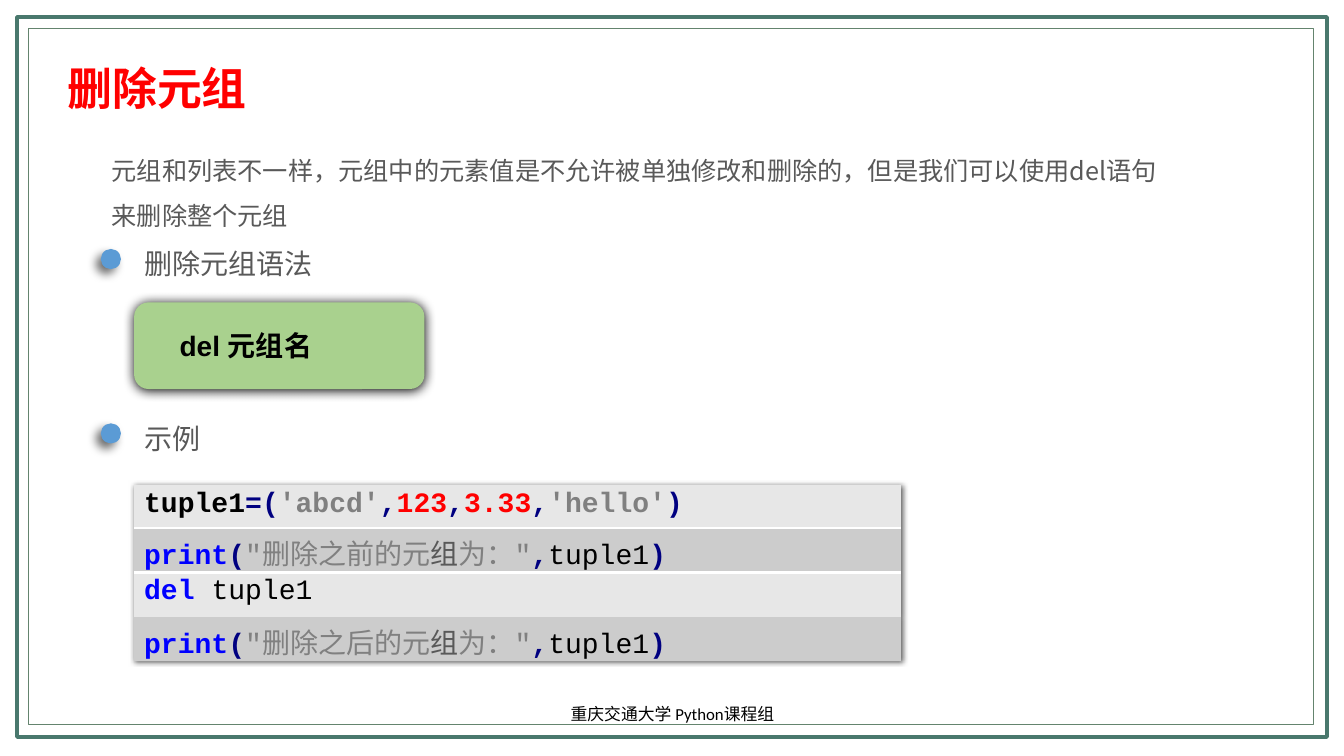
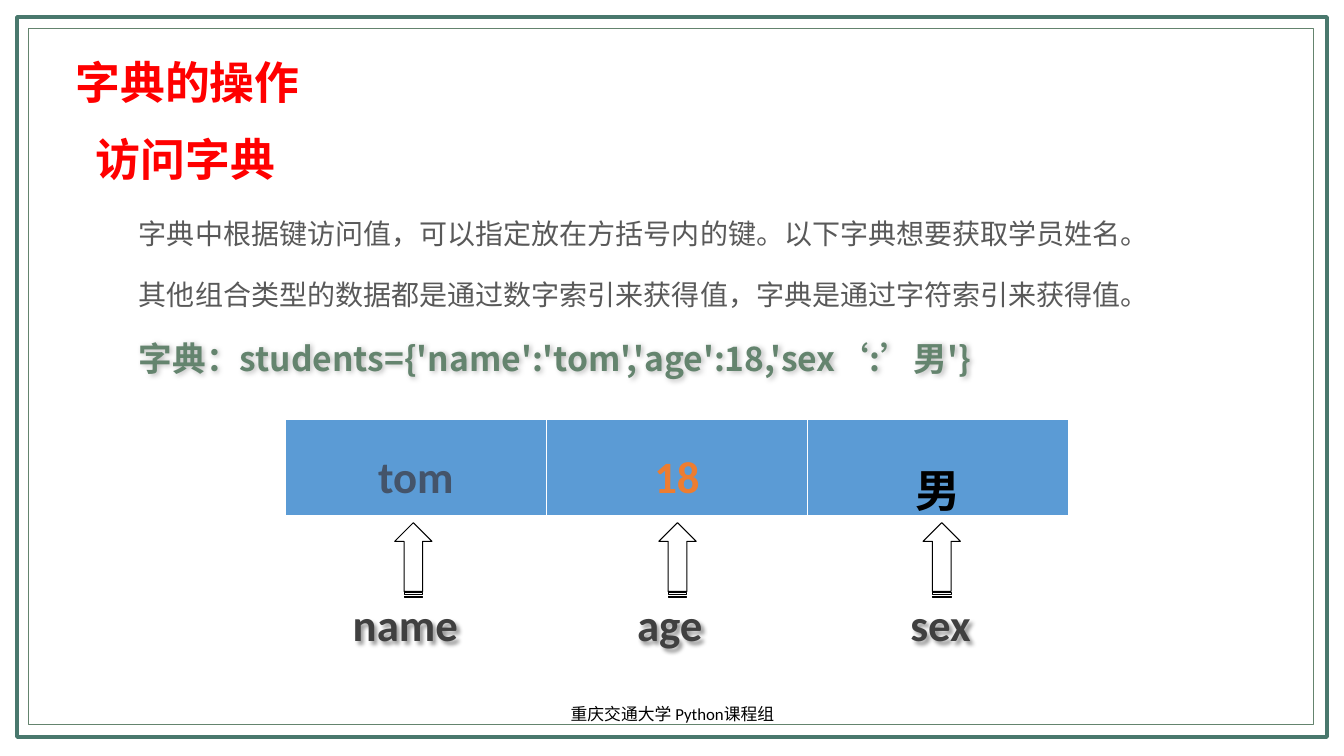
from dataclasses import dataclass

from lxml.etree import SubElement
from pptx import Presentation
from pptx.dml.color import RGBColor
from pptx.enum.shapes import MSO_SHAPE as Shape
from pptx.enum.text import MSO_ANCHOR as Anchor, PP_ALIGN as Align
from pptx.oxml import parse_xml
from pptx.oxml.ns import nsdecls, qn
from pptx.util import Emu, Pt

PX = 9144
NO_STYLE = "{2D5ABB26-0587-4C30-8999-92F81FD0307C}"


@dataclass(frozen=True)
class Theme:
    """Colours, fonts and type sizes of the deck."""
    frame: str = "49786D"
    sage: str = "64846E"
    title: str = "FF0000"
    body: str = "595959"
    label: str = "404040"
    black: str = "000000"
    white: str = "FFFFFF"
    blue: str = "5B9BD5"
    green: str = "A9D18E"
    slate: str = "44546A"
    orange: str = "ED7D31"
    light_row: str = "E7E7E7"
    dark_row: str = "CCCCCC"
    symbol: str = "000080"
    string: str = "808080"
    keyword: str = "0000FF"
    cjk: str = "Noto Sans CJK SC"
    sans: str = "Arial"
    latin: str = "Calibri"
    mono: str = "Courier New"
    footer_pt: int = 12
    intro_pt: int = 18
    body_pt: int = 20
    formula_pt: int = 24
    title_pt: int = 32


T = Theme()


def px(*lengths):
    """Turn px lengths into EMU."""
    return [Emu(length * PX) for length in lengths]


def rgb(colour):
    """Read a hex colour."""
    return RGBColor.from_string(colour)


def style(paragraph, size, colour, font=T.cjk, bold=False, align=None, spacing=None):
    """Set the shared type of a paragraph, East Asian face included."""
    face = paragraph.font
    face.size, face.bold, face.name = Pt(size), bold, font
    face.color.rgb = rgb(colour)
    defaults = paragraph._p.pPr.find(qn("a:defRPr"))
    SubElement(defaults, qn("a:ea")).set("typeface", T.cjk)
    if align is not None:
        paragraph.alignment = align
    if spacing:
        paragraph.line_spacing = spacing


def add_shadow(properties, alpha, blur, distance, angle, index=None):
    """Add an outer shadow to shape or table properties."""
    effect = parse_xml(
        f'<a:effectLst {nsdecls("a")}><a:outerShdw blurRad="{int(blur * 12700)}" '
        f'dist="{int(distance * 12700)}" dir="{angle * 60000}" algn="ctr" rotWithShape="0">'
        f'<a:srgbClr val="{T.black}"><a:alpha val="{alpha * 1000}"/></a:srgbClr>'
        f'</a:outerShdw></a:effectLst>')
    properties.insert(len(properties) if index is None else index, effect)


def add_text(shapes, box, lines, size, colour, anchor=Anchor.TOP, gap=0, shadow=None, **look):
    """Add a wrapped text box with one paragraph per line."""
    holder = shapes.add_textbox(*px(*box))
    frame = holder.text_frame
    frame.word_wrap, frame.vertical_anchor = True, anchor
    for number, line in enumerate(lines):
        paragraph = frame.add_paragraph() if number else frame.paragraphs[0]
        paragraph.text = line
        style(paragraph, size, colour, **look)
        if number:
            paragraph.space_before = Pt(gap)
    if shadow:
        add_shadow(holder._element.spPr, *shadow)


def add_figure(shapes, kind, box, fill=None, line=None, weight=1, shadow=None):
    """Add a preset shape with plain fill, line and optional shadow."""
    figure = shapes.add_shape(kind, *px(*box))
    if fill:
        figure.fill.solid()
        figure.fill.fore_color.rgb = rgb(fill)
    else:
        figure.fill.background()
    if line:
        figure.line.color.rgb = rgb(line)
        figure.line.width = Pt(weight)
    else:
        figure.line.fill.background()
    if shadow:
        add_shadow(figure._element.spPr, *shadow)
    else:
        figure.shadow.inherit = False
    return figure


def add_title(slide, left, top, text):
    """Add a red heading."""
    add_text(slide.shapes, (left, top, 652, 64), [text], T.title_pt, T.title, bold=True)


def add_topic(slide, top, text):
    """Add a round marker grouped with its topic line."""
    topic = slide.shapes.add_group_shape().shapes
    add_figure(topic, Shape.OVAL, (100, top + 7, 20, 20), T.blue, shadow=(57, 7, 5, 135))
    add_text(topic, (133, top, 589, 44), [text], T.body_pt, T.body, font=T.sans)


def add_grid(slide, box, row_heights, columns):
    """Add an unstyled table and return it."""
    table = slide.shapes.add_table(len(row_heights), columns, *px(*box)).table
    table.first_row = table.horz_banding = False
    table._tbl.tblPr.find(qn("a:tableStyleId")).text = NO_STYLE
    for row, height in zip(table.rows, px(*row_heights)):
        row.height = height
    return table


def fill_cell(cell, fill, **borders):
    """Fill a cell, tighten its margins and draw white borders by side."""
    cell.margin_top, cell.margin_bottom = px(4, 0)
    properties = cell._tc.get_or_add_tcPr()
    for side in ("L", "R", "T", "B"):
        if side in borders:
            properties.append(parse_xml(
                f'<a:ln{side} {nsdecls("a")} w="{borders[side] * 12700}"><a:solidFill>'
                f'<a:srgbClr val="{T.white}"/></a:solidFill></a:ln{side}>'))
    cell.fill.solid()
    cell.fill.fore_color.rgb = rgb(fill)


def add_code(slide, box, row_heights, code_lines):
    """Add a striped listing, one coloured code line per row."""
    table = add_grid(slide, box, row_heights, 1)
    add_shadow(table._tbl.tblPr, 60, 4, 0, 0, index=0)
    for number, tokens in enumerate(code_lines):
        cell = table.cell(number, 0)
        borders = {"B": 2} if number == 0 else {"T": 2} if number == 1 else {}
        fill_cell(cell, T.dark_row if number % 2 else T.light_row, **borders)
        paragraph = cell.text_frame.paragraphs[0]
        style(paragraph, T.body_pt, T.black, T.mono)
        for text, colour, bold in tokens:
            token = paragraph.add_run()
            token.text = text
            token.font.bold = bold
            token.font.color.rgb = rgb(colour)


def print_call(moment):
    """Return the tokens of a print call that shows the tuple."""
    return [("print", T.keyword, True), ("(", T.symbol, True),
            (f'"删除之{moment}的元', T.string, False), ("组", T.body, False),
            ('为："', T.string, False), (",", T.symbol, True),
            ("tuple1", T.black, False), (")", T.symbol, True)]


def add_values(slide, box, values):
    """Add the row of dictionary values."""
    table = add_grid(slide, box, [box[3]], len(values))
    for cell, (value, colour) in zip(table.rows[0].cells, values):
        fill_cell(cell, T.blue, L=1, R=1, T=1, B=3)
        paragraph = cell.text_frame.paragraphs[0]
        paragraph.text = value
        style(paragraph, T.title_pt, colour, T.latin, True, Align.CENTER, 1.5)


def add_keys(slide, keys):
    """Add the key names, each with an arrow up to its value."""
    for number, (key, left, width) in enumerate(keys):
        add_text(slide.shapes, (left, 587, width, 64), [key], T.title_pt, T.label,
                 font=T.latin, bold=True, shadow=(40, 3, 3, 45))
        arrow = add_figure(slide.shapes, Shape.STRIPED_RIGHT_ARROW,
                           (373 + 262 * number, 537, 74, 37), line=T.black, weight=0.75)
        arrow.rotation = 270


def new_slide(deck):
    """Add a blank slide with the double frame and the footer."""
    slide = deck.slides.add_slide(deck.slide_layouts[6])
    add_figure(slide.shapes, Shape.RECTANGLE, (17, 17, 1299, 714), line=T.frame, weight=3)
    add_figure(slide.shapes, Shape.RECTANGLE, (28, 28, 1275, 691), line=T.sage, weight=0.5)
    add_text(slide.shapes, (442, 688, 450, 40), ["重庆交通大学 Python课程组"], T.footer_pt,
             T.black, anchor=Anchor.MIDDLE, font=T.latin, align=Align.CENTER)
    return slide


def tuple_slide(deck):
    """Build the slide on deleting a tuple."""
    slide = new_slide(deck)
    add_title(slide, 57, 55, "删除元组")
    add_text(slide.shapes, (101, 134, 1074, 101),
             ["元组和列表不一样，元组中的元素值是不允许被单独修改和删除的，"
              "但是我们可以使用del语句来删除整个元组"],
             T.intro_pt, T.body, spacing=1.5)
    add_topic(slide, 240, "删除元组语法")
    syntax = add_figure(slide.shapes, Shape.ROUNDED_RECTANGLE, (133, 300, 288, 86),
                        T.green, shadow=(100, 8.5, 1, 90))
    frame = syntax.text_frame
    frame.margin_left, frame.margin_right, frame.margin_top, frame.margin_bottom = px(41, 3, 3, 3)
    frame.vertical_anchor = Anchor.MIDDLE
    frame.text = "del 元组名"
    style(frame.paragraphs[0], T.body_pt, T.black, T.sans, True, Align.LEFT)
    add_topic(slide, 413, "示例")
    add_code(slide, (133, 481, 761, 175), [43, 44, 44, 44], [
        [("tuple1", T.black, True), ("=(", T.symbol, True), ("'abcd'", T.string, True),
         (",", T.symbol, True), ("123", T.title, True), (",", T.symbol, True),
         ("3.33", T.title, True), (",", T.symbol, True), ("'hello'", T.string, True),
         (")", T.symbol, True)],
        print_call("前"),
        [("del", T.keyword, True), (" tuple1", T.black, False)],
        print_call("后"),
    ])


def dictionary_slide(deck):
    """Build the slide on reading a dictionary."""
    slide = new_slide(deck)
    add_title(slide, 65, 49, "字典的操作")
    add_title(slide, 85, 126, "访问字典")
    add_text(slide.shapes, (128, 200, 1141, 114),
             ["字典中根据键访问值，可以指定放在方括号内的键。以下字典想要获取学员姓名。",
              "其他组合类型的数据都是通过数字索引来获得值，字典是通过字符索引来获得值。"],
             T.body_pt, T.body, font=T.sans, spacing=1.3, gap=12)
    add_text(slide.shapes, (128, 330, 923, 50),
             ["字典：students={'name':'tom','age':18,'sex‘:’男'}"],
             T.formula_pt, T.sage, bold=True, shadow=(25, 4, 1, 45))
    add_values(slide, (283, 416, 777, 97),
               [("tom", T.slate), ("18", T.orange), ("男", T.black)])
    add_keys(slide, [("name", 340, 178), ("age", 622, 108), ("sex", 893, 97)])


def main():
    """Build and save the deck."""
    deck = Presentation()
    deck.slide_width, deck.slide_height = px(1333, 750)
    tuple_slide(deck)
    dictionary_slide(deck)
    deck.save("out.pptx")


if __name__ == "__main__":
    main()
